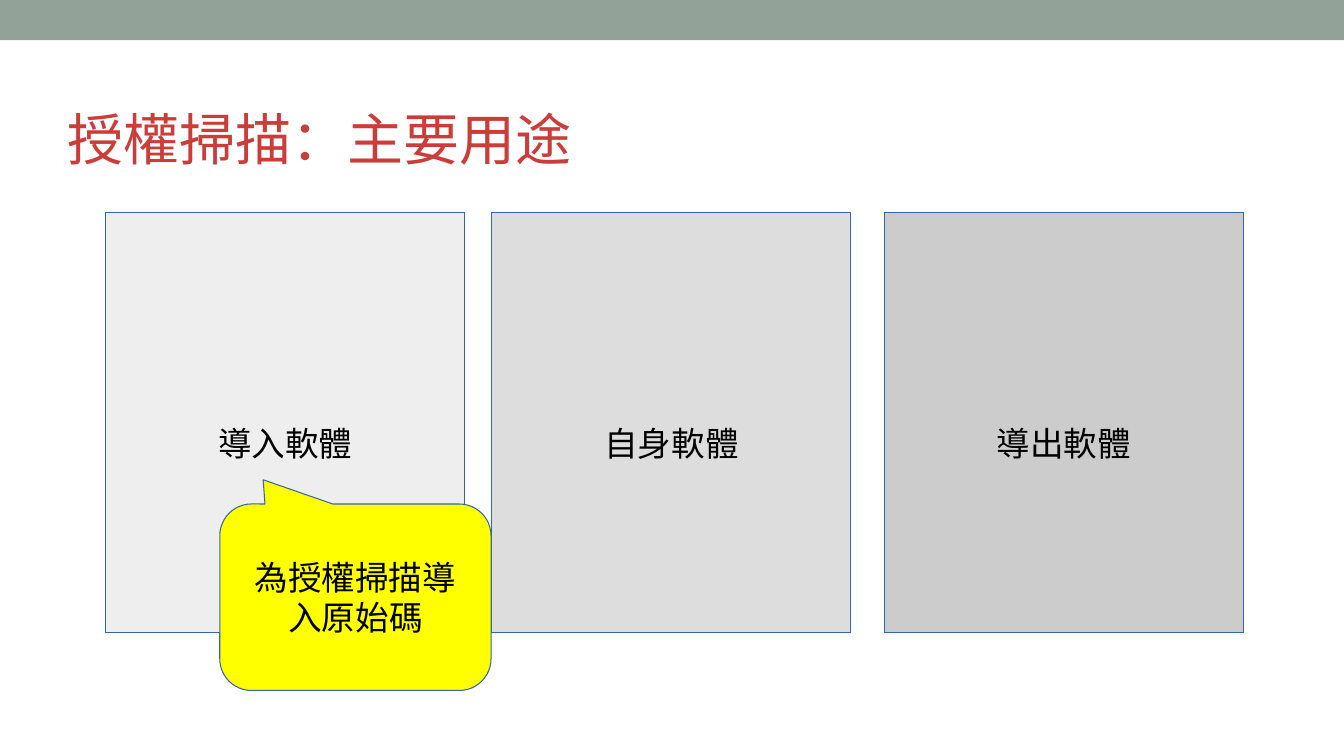
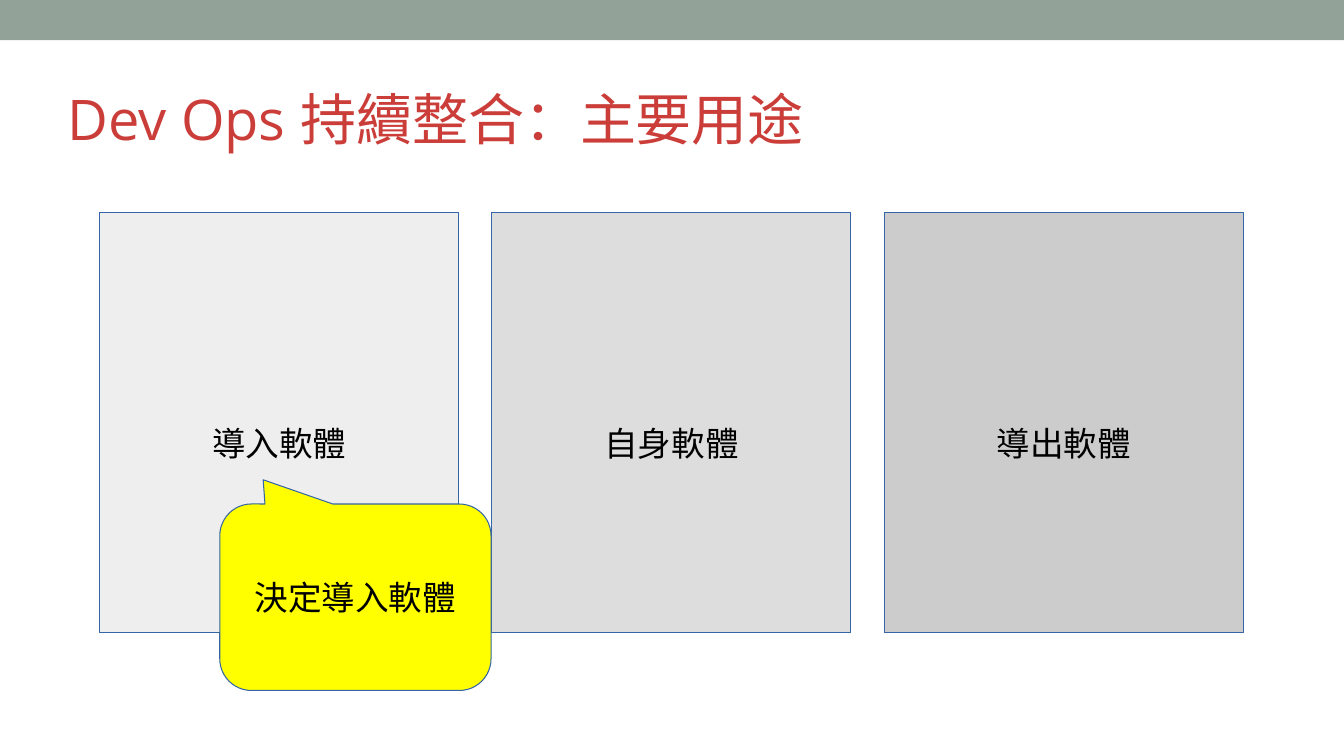
from dataclasses import dataclass

from pptx import Presentation
from pptx.dml.color import RGBColor
from pptx.enum.shapes import MSO_SHAPE
from pptx.enum.text import MSO_ANCHOR, PP_ALIGN
from pptx.util import Inches, Pt

RECT = MSO_SHAPE.RECTANGLE
CALLOUT = MSO_SHAPE.ROUNDED_RECTANGULAR_CALLOUT
MIDDLE, BOTTOM = MSO_ANCHOR.MIDDLE, MSO_ANCHOR.BOTTOM
LEFT, CENTER = PP_ALIGN.LEFT, PP_ALIGN.CENTER


@dataclass(frozen=True)
class Theme:
    band: str = "93A299"
    title: str = "CB3D39"
    text: str = "000000"
    outline: str = "3465A4"
    callout: str = "FFFF00"
    title_font: str = "Open Sans"
    body_font: str = "Arial"
    title_size: int = 40
    body_size: int = 24
    line_width: float = 0.75


THEME = Theme()
SLIDE_W, SLIDE_H = 13.33, 7.5
CARDS = [("導入軟體", "EEEEEE"), ("自身軟體", "DDDDDD"), ("導出軟體", "CCCCCC")]
CARD_LEFT, CARD_TOP, CARD_W, CARD_H = 0.99, 2.11, 3.56, 4.17
CARD_STEP = 3.89
LABEL_DROP = 0.4  # extra top inset that sets card labels below the middle


def put_text(s, text, *, font=THEME.body_font, size=THEME.body_size,
             color=THEME.text, align=CENTER, anchor=MIDDLE,
             insets=(0.1, 0.05, 0.1, 0.05)):
    """Write one paragraph into s; insets are left, top, right, bottom."""
    tf = s.text_frame
    tf.word_wrap = True
    tf.vertical_anchor = anchor
    (tf.margin_left, tf.margin_top,
     tf.margin_right, tf.margin_bottom) = map(Inches, insets)
    p = tf.paragraphs[0]
    p.alignment = align
    r = p.add_run()
    r.text = text
    r.font.name = font
    r.font.size = Pt(size)
    r.font.color.rgb = RGBColor.from_string(color)


def add_box(slide, kind, box, fill, outline=None):
    s = slide.shapes.add_shape(kind, *map(Inches, box))
    s.shadow.inherit = False
    s.fill.solid()
    s.fill.fore_color.rgb = RGBColor.from_string(fill)
    if outline:
        s.line.color.rgb = RGBColor.from_string(outline)
        s.line.width = Pt(THEME.line_width)
    else:
        s.line.fill.background()
    return s


def add_title(slide, text, top):
    s = slide.shapes.add_textbox(*map(Inches, (0.67, top, 12, 1.15)))
    put_text(s, text, font=THEME.title_font, size=THEME.title_size,
             color=THEME.title, align=LEFT, anchor=BOTTOM, insets=(0, 0, 0, 0))


def add_cards(slide, first_shift):
    """Draw the row of cards, the first one moved right by first_shift."""
    for i, (label, fill) in enumerate(CARDS):
        left = CARD_LEFT + i * CARD_STEP + (first_shift if i == 0 else 0)
        s = add_box(slide, RECT, (left, CARD_TOP, CARD_W, CARD_H),
                    fill, THEME.outline)
        put_text(s, label, insets=(0.1, 0.05 + LABEL_DROP, 0.1, 0.05))


def add_callout(slide, text):
    s = add_box(slide, CALLOUT, (2.18, 5, 2.69, 1.85),
                THEME.callout, THEME.outline)
    for i, value in enumerate((-0.34, -0.63, 0.17)):
        s.adjustments[i] = value
    put_text(s, text)


def add_usage_slide(prs, title, callout, title_top, first_shift=0):
    slide = prs.slides.add_slide(prs.slide_layouts[6])
    add_box(slide, RECT, (0, 0, SLIDE_W, 0.4), THEME.band)
    add_title(slide, title, title_top)
    add_cards(slide, first_shift)
    add_callout(slide, callout)


def main():
    prs = Presentation()
    prs.slide_width, prs.slide_height = Inches(SLIDE_W), Inches(SLIDE_H)
    add_usage_slide(prs, "授權掃描：主要用途", "為授權掃描導入原始碼",
                    title_top=0.55, first_shift=0.06)
    add_usage_slide(prs, "Dev Ops 持續整合：主要用途", "決定導入軟體",
                    title_top=0.35)
    prs.save("out.pptx")


if __name__ == "__main__":
    main()
